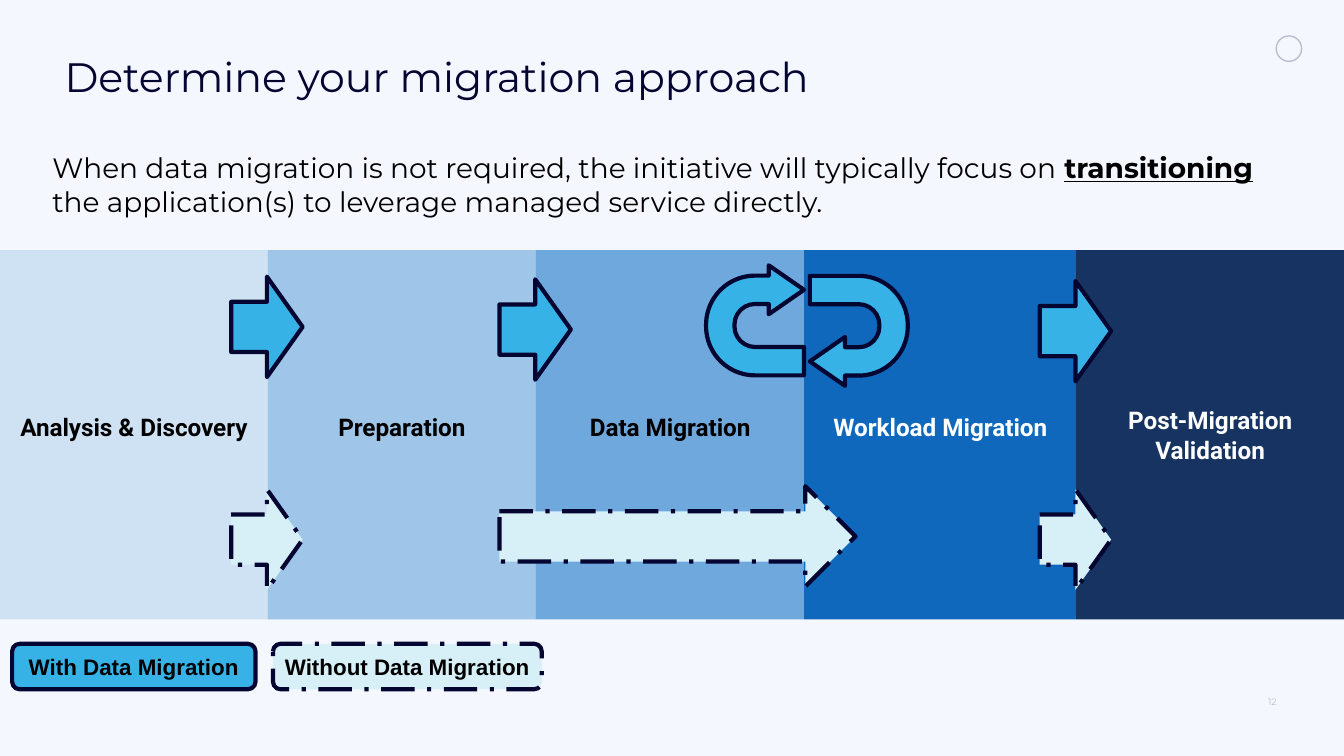
"""Build the migration approach slide: five phase bands joined by two kinds of arrow."""
from itertools import accumulate

from pptx import Presentation
from pptx.dml.color import RGBColor
from pptx.enum import dml, shapes, text
from pptx.util import Cm, Pt

COLOURS = {
    "page": "F5F7FF", "navy": "040531", "grey": "BABDCE", "black": "000000", "white": "FFFFFF",
    "with": "36B2E7", "without": "D7EFF6",
    "analysis": "CFE2F3", "preparation": "9FC5E8", "data": "6FA8DC",
    "workload": "0F68BC", "validation": "173361",
}
TITLE = "Determine your migration approach"
INTRO = [
    ("When data migration is not required, the initiative will typically focus on ", False),
    ("transitioning", True),
    (" the application(s) to leverage managed service directly.", False),
]
PAGE_NUMBER = "12"
# label, fill, text colour, width, bottom inset
PHASES = [
    ("Analysis & Discovery", "analysis", "black", 5.06, 0.42),
    ("Preparation", "preparation", "black", 5.07, 0.42),
    ("Data Migration", "data", "black", 5.07, 0.42),
    ("Workload Migration", "workload", "white", 5.14, 0.42),
    ("Post-Migration Validation", "validation", "white", 5.06, 0.13),
]
# boundary crossed, top, width, kind
ARROWS = [
    (1, 5.23, 1.35, "with"), (2, 5.28, 1.35, "with"), (4, 5.31, 1.35, "with"),
    (1, 9.25, 1.35, "without"), (2, 9.19, 6.73, "without"), (4, 9.25, 1.35, "without"),
]
# left, top, rotation
LOOPS = [(13.23, 5.13, 270), (15.19, 5.33, 90)]
LEGEND = [
    ("With Data Migration", "with", 0.23, 4.6),
    ("Without Data Migration", "without", 5.16, 5.08),
]
BAND_TOP, BAND_HEIGHT = 4.73, 6.98
ARROW_HEIGHT, ARROW_LEAD = 1.9, 0.69
KINDS = shapes.MSO_SHAPE


def colour(name):
    return RGBColor.from_string(COLOURS[name])


def apply(target, values):
    for name, value in values.items():
        setattr(target, name, value)


def write(box, spans, size, face, ink, insets, align="LEFT", anchor="TOP", bold=False):
    """Fill a box with one paragraph; an emphasised span is bold and underlined."""
    frame = box.text_frame
    sides = ("margin_left", "margin_top", "margin_right", "margin_bottom")
    apply(frame, dict(zip(sides, map(Cm, insets))))
    apply(frame, {"word_wrap": True, "auto_size": text.MSO_AUTO_SIZE.NONE,
                  "vertical_anchor": text.MSO_ANCHOR[anchor]})
    para = frame.paragraphs[0]
    para.alignment = text.PP_ALIGN[align]
    for words, strong in spans:
        span = para.add_run()
        span.text = words
        apply(span.font, {"size": Pt(size), "name": face, "bold": bold or strong,
                          "underline": strong})
        span.font.color.rgb = colour(ink)


def draw(page, kind, place, fill=None, outline=None, width=2.25, dashed=False):
    shape = page.shapes.add_shape(kind, *map(Cm, place))
    shape.shadow.inherit = False
    if fill:
        shape.fill.solid()
        shape.fill.fore_color.rgb = colour(fill)
    else:
        shape.fill.background()
    if outline:
        shape.line.color.rgb = colour(outline)
        shape.line.width = Pt(width)
    else:
        shape.line.fill.background()
    if dashed:
        shape.line.dash_style = dml.MSO_LINE.LONG_DASH_DOT
    return shape


def build():
    deck = Presentation()
    apply(deck, {"slide_width": Cm(25.4), "slide_height": Cm(14.29)})
    page = deck.slides.add_slide(deck.slide_layouts[5])
    page.background.fill.solid()
    page.background.fill.fore_color.rgb = colour("page")

    title = page.shapes.title
    apply(title, dict(zip(("left", "top", "width", "height"), map(Cm, (1.22, 0.84, 21.62, 1.17)))))
    write(title, [(TITLE, False)], 22, "Montserrat", "navy", (0, 0.13, 0.25, 0.13))
    draw(page, KINDS.OVAL, (24.12, 0.68, 0.48, 0.48), outline="grey", width=0.75)

    number = page.shapes.add_textbox(*map(Cm, (23.32, 12.93, 0.81, 0.66)))
    write(number, [(PAGE_NUMBER, False)], 5, "Montserrat", "grey",
          (0.25, 0.13, 0, 0.13), "RIGHT", "MIDDLE")
    intro = page.shapes.add_textbox(*map(Cm, (0.86, 2.72, 23.57, 1.55)))
    write(intro, INTRO, 15, "Montserrat", "black", [0.13] * 4)

    edges = list(accumulate((phase[3] for phase in PHASES), initial=0))
    for left, (label, fill, ink, width, bottom) in zip(edges, PHASES):
        band = draw(page, KINDS.RECTANGLE, (left, BAND_TOP, width, BAND_HEIGHT), fill)
        write(band, [(label, False)], 13, "Roboto", ink, (0.13, 0.13, 0.13, bottom),
              "CENTER", "MIDDLE", True)

    for edge, top, width, kind in ARROWS:
        draw(page, KINDS.RIGHT_ARROW, (edges[edge] - ARROW_LEAD, top, width, ARROW_HEIGHT),
             kind, "navy", dashed=kind == "without")

    for left, top, rotation in LOOPS:
        loop = draw(page, KINDS.U_TURN_ARROW, (left, top, 2.08, 1.85), "with", "navy")
        loop.rotation = rotation
        for index, value in enumerate((0.29, 0.25, 0.36, 0.5, 1)):
            loop.adjustments[index] = value

    for label, kind, left, width in LEGEND:
        key = draw(page, KINDS.ROUNDED_RECTANGLE, (left, 12.17, width, 0.86),
                   kind, "navy", dashed=kind == "without")
        write(key, [(label, False)], 12, "Arial", "black", [0.13] * 4, "CENTER", "MIDDLE", True)

    deck.save("out.pptx")


if __name__ == "__main__":
    build()
